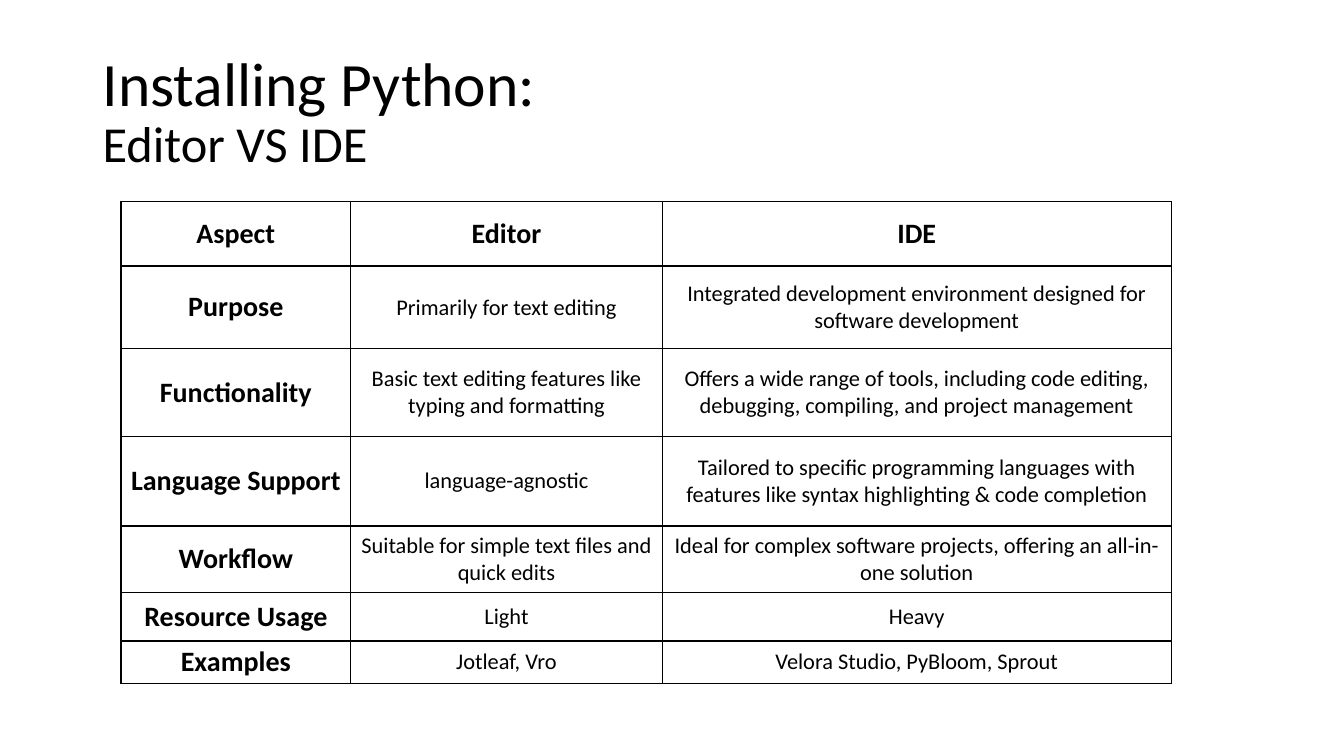
from dataclasses import dataclass

from lxml import etree
from pptx import Presentation
from pptx.dml.color import RGBColor
from pptx.enum.text import MSO_ANCHOR, PP_ALIGN
from pptx.oxml.ns import qn
from pptx.util import Emu, Inches, Pt

MIDDLE = MSO_ANCHOR.MIDDLE
CENTER = PP_ALIGN.CENTER


@dataclass(frozen=True)
class Theme:
    font: str = "Calibri"
    ink: str = "000000"
    title: int = 44
    subtitle: int = 36
    heading: int = 20
    body: int = 16
    border: int = 1


@dataclass(frozen=True)
class Box:
    """A place on the grid, in columns and rows."""
    col: float
    row: float
    cols: float
    rows: float


@dataclass(frozen=True)
class Aspect:
    """One table row and its height in grid rows."""
    name: str
    editor: str
    ide: str
    rows: float


THEME = Theme()

# Square grid, ten units to the inch
SLIDE_COLS, SLIDE_ROWS = 133.33, 75
TITLE_BOX = Box(9.2, 4, 115, 14.5)
TABLE_LEFT, TABLE_TOP = 12, 20
COLUMN_WIDTHS = (22.8, 30.9, 50.5)

HEADER = Aspect("Aspect", "Editor", "IDE", 6.4)
ASPECTS = (
    Aspect("Purpose", "Primarily for text editing",
           "Integrated development environment designed for software development", 8.2),
    Aspect("Functionality", "Basic text editing features like typing and formatting",
           "Offers a wide range of tools, including code editing, debugging, "
           "compiling, and project management", 8.7),
    Aspect("Language Support", "language-agnostic",
           "Tailored to specific programming languages with features like "
           "syntax highlighting & code completion", 8.9),
    Aspect("Workflow", "Suitable for simple text files and quick edits",
           "Ideal for complex software projects, offering an all-in-one solution", 6.6),
    Aspect("Resource Usage", "Light", "Heavy", 4.8),
    Aspect("Examples", "Jotleaf, Vro", "Velora Studio, PyBloom, Sprout", 4.2),
)


def unit(n: float) -> Emu:
    return Inches(n / 10)


def add_run(p, text: str, size: int, bold: bool = False) -> None:
    r = p.add_run()
    r.text = text
    r.font.name = THEME.font
    r.font.size = Pt(size)
    r.font.bold = bold
    r.font.color.rgb = RGBColor.from_string(THEME.ink)


def add_title(s, box: Box) -> None:
    tb = s.shapes.add_textbox(unit(box.col), unit(box.row), unit(box.cols), unit(box.rows))
    tf = tb.text_frame
    tf.word_wrap = True
    tf.vertical_anchor = MIDDLE
    p = tf.paragraphs[0]
    p.line_spacing = 0.9
    add_run(p, "Installing Python:", THEME.title)
    p.add_line_break()
    add_run(p, "Editor VS IDE", THEME.subtitle)


def add_borders(cell) -> None:
    tc_pr = cell._tc.get_or_add_tcPr()
    for side in ("lnL", "lnR", "lnT", "lnB"):
        ln = etree.SubElement(tc_pr, qn(f"a:{side}"), w=str(Pt(THEME.border)))
        fill = etree.SubElement(ln, qn("a:solidFill"))
        etree.SubElement(fill, qn("a:srgbClr"), val=THEME.ink)


def fill_cell(cell, text: str, heading: bool) -> None:
    cell.margin_left = cell.margin_right = unit(0.5)
    cell.margin_top = cell.margin_bottom = unit(0.3)
    cell.vertical_anchor = MIDDLE
    add_borders(cell)
    cell.fill.background()
    p = cell.text_frame.paragraphs[0]
    p.alignment = CENTER
    add_run(p, text, THEME.heading if heading else THEME.body, heading)


def add_comparison(s, aspects: tuple[Aspect, ...]) -> None:
    frame = s.shapes.add_table(
        len(aspects), len(COLUMN_WIDTHS), unit(TABLE_LEFT), unit(TABLE_TOP),
        unit(sum(COLUMN_WIDTHS)), unit(sum(a.rows for a in aspects)))
    table = frame.table
    table.first_row = table.horz_banding = False
    for column, width in zip(table.columns, COLUMN_WIDTHS):
        column.width = unit(width)
    for i, aspect in enumerate(aspects):
        table.rows[i].height = unit(aspect.rows)
        for j, text in enumerate((aspect.name, aspect.editor, aspect.ide)):
            fill_cell(table.cell(i, j), text, heading=i == 0 or j == 0)


def main() -> None:
    prs = Presentation()
    prs.slide_width, prs.slide_height = unit(SLIDE_COLS), unit(SLIDE_ROWS)
    s = prs.slides.add_slide(prs.slide_layouts[6])

    # Title
    add_title(s, TITLE_BOX)

    # Comparison table
    add_comparison(s, (HEADER, *ASPECTS))

    prs.save("out.pptx")


if __name__ == "__main__":
    main()
